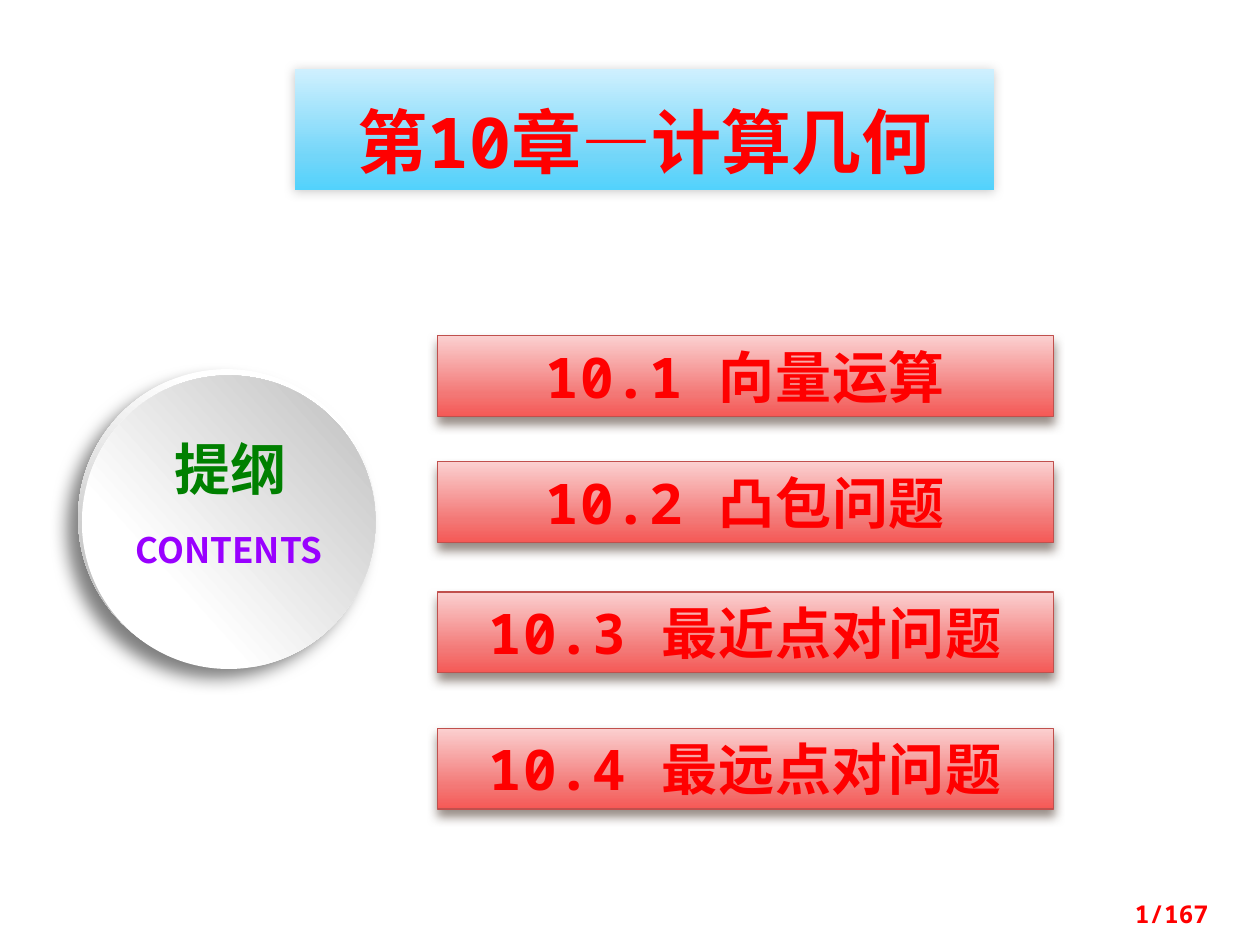
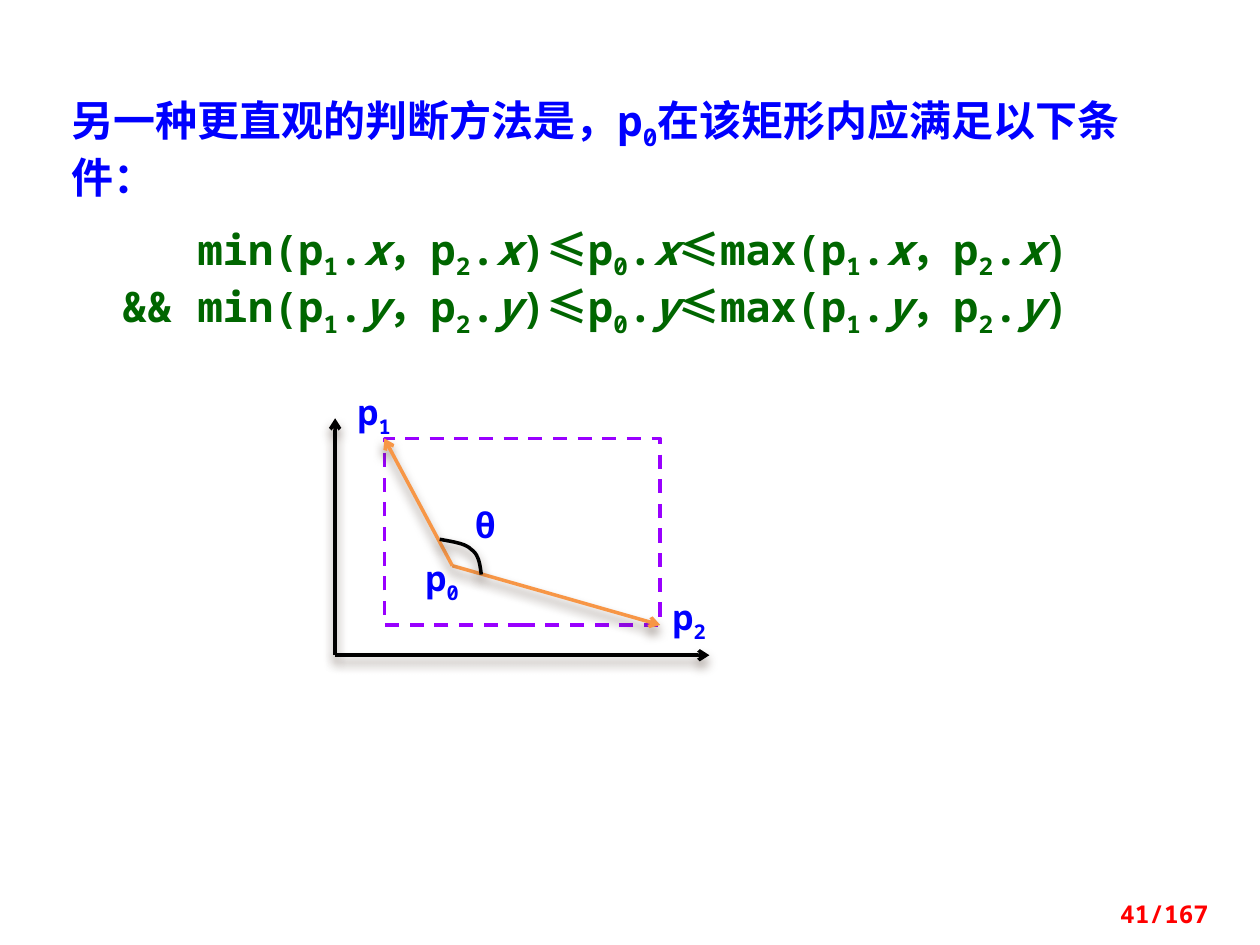
from lxml.etree import SubElement
from pptx import Presentation
from pptx.dml.color import RGBColor
from pptx.enum.dml import MSO_LINE
from pptx.enum.shapes import MSO_CONNECTOR, MSO_SHAPE
from pptx.enum.text import MSO_ANCHOR, MSO_AUTO_SIZE, PP_ALIGN
from pptx.oxml.ns import qn
from pptx.util import Inches, Pt

MONO, CJK = "Noto Sans Mono", "Noto Sans CJK SC"
RED = RGBColor(0xFF, 0x00, 0x00)
BLUE = RGBColor(0x00, 0x00, 0xFF)
GREEN = RGBColor(0x00, 0x80, 0x00)
DARK_GREEN = RGBColor(0x00, 0x66, 0x00)
PURPLE = RGBColor(0x99, 0x00, 0xFF)
ORANGE = RGBColor(0xF7, 0x96, 0x46)
BRICK = RGBColor(0xC0, 0x50, 0x4D)
BLACK = RGBColor(0x00, 0x00, 0x00)
WHITE = RGBColor(0xFF, 0xFF, 0xFF)
BROWN = RGBColor(0x4E, 0x3B, 0x30)

# Gradients: (position %, colour) stops
SKY = [(0, RGBColor(0xCF, 0xF0, 0xFE)), (72, RGBColor(0x73, 0xD6, 0xF9)),
       (100, RGBColor(0x52, 0xD2, 0xFC))]
ROSE = [(0, RGBColor(0xFB, 0xD0, 0xD0)), (72, RGBColor(0xF3, 0x78, 0x76)),
        (100, RGBColor(0xF5, 0x59, 0x56))]
RIM = [(17, WHITE), (88, RGBColor(0xB8, 0xB8, 0xB8))]
DISC = [(29, WHITE), (98, RGBColor(0xBF, 0xBF, 0xBF))]

# Shadows: colour, opacity %, blur pt, distance pt, direction in degrees
TITLE_SHADOW = (BLACK, 20, 6, 1, 135)
DROP_SHADOW = (BROWN, 60, 6, 4, 90)
RIM_SHADOW = (BLACK, 50, 10, 9, 135)

COLS, ROWS = 100, 75
PAGES = 167
TITLE_ONLY, BLANK = 5, 6


def add_colour(parent, colour):
    return SubElement(parent, qn("a:srgbClr"), val=str(colour))


class Deck:
    """Style and current slide; places are (column, row, columns, rows)."""

    def __init__(self):
        self.prs = Presentation()
        self.prs.slide_width, self.prs.slide_height = Inches(10), Inches(7.5)

    def grid(self, *cells):
        """Turn alternating column and row counts into lengths."""
        units = self.prs.slide_width / COLS, self.prs.slide_height / ROWS
        return [round(n * units[i % 2]) for i, n in enumerate(cells)]

    def slide(self, layout, page):
        self.s = self.prs.slides.add_slide(self.prs.slide_layouts[layout])
        self.shapes = self.s.shapes
        self.text((85.2, 70.85, 11.7, 2.6), f"{page}/{PAGES}", 14, RED,
                  align=PP_ALIGN.RIGHT)

    def start_group(self):
        self.shapes = self.s.shapes.add_group_shape().shapes

    def run(self, p, text, size, colour, font=MONO, kind="", spacing=0):
        """Add a run; kind is "", "sub", "italic" or "wide"."""
        r = p.add_run()
        r.text = text
        r.font.size, r.font.bold = Pt(size), True
        r.font.color.rgb = colour
        r.font.name = CJK if kind == "wide" else font
        rPr = r._r.get_or_add_rPr()
        SubElement(rPr, qn("a:ea"), typeface=CJK)
        if kind == "italic":
            r.font.italic = True
        if kind == "sub":
            rPr.set("baseline", "-25000")
        if spacing:
            rPr.set("spc", str(round(spacing * 100)))

    def gradient(self, sp, stops, angle):
        sp.fill.background()
        spPr = sp._element.spPr
        no_fill = spPr.find(qn("a:noFill"))
        grad = SubElement(spPr, qn("a:gradFill"), rotWithShape="1")
        spPr.replace(no_fill, grad)
        gs_list = SubElement(grad, qn("a:gsLst"))
        for pos, colour in stops:
            add_colour(SubElement(gs_list, qn("a:gs"), pos=str(pos * 1000)), colour)
        SubElement(grad, qn("a:lin"), ang=str(angle * 60000), scaled="0")

    def shadow(self, sp, style=None):
        """Replace the theme shadow by the given one, or by none."""
        effects = SubElement(sp._element.spPr, qn("a:effectLst"))
        if style:
            colour, opacity, blur, dist, angle = style
            outer = SubElement(effects, qn("a:outerShdw"), blurRad=str(Pt(blur)),
                               dist=str(Pt(dist)), dir=str(angle * 60000),
                               algn="ctr", rotWithShape="0")
            SubElement(add_colour(outer, colour), qn("a:alpha"),
                       val=str(opacity * 1000))

    def stroke(self, sp, colour, width=2.0):
        sp.line.color.rgb, sp.line.width = colour, Pt(width)

    def title(self, at, text):
        sp = self.s.shapes.title
        sp.left, sp.top, sp.width, sp.height = self.grid(*at)
        self.gradient(sp, SKY, 90)
        self.shadow(sp, TITLE_SHADOW)
        tf = sp.text_frame
        tf.auto_size, tf.word_wrap = MSO_AUTO_SIZE.NONE, True
        tf.vertical_anchor = MSO_ANCHOR.MIDDLE
        tf.margin_top = Inches(0.22)
        p = tf.paragraphs[0]
        p.alignment = PP_ALIGN.CENTER
        self.run(p, text, 40, RED)

    def topic(self, at, text):
        sp = self.shapes.add_shape(MSO_SHAPE.RECTANGLE, *self.grid(*at))
        self.gradient(sp, ROSE, 90)
        self.stroke(sp, BRICK, 0.79)
        self.shadow(sp, DROP_SHADOW)
        p = sp.text_frame.paragraphs[0]
        p.alignment = PP_ALIGN.CENTER
        self.run(p, text, 32, RED, spacing=0.5)

    def disc(self, at, stops, angle, shadow=None):
        sp = self.shapes.add_shape(MSO_SHAPE.OVAL, *self.grid(*at))
        self.gradient(sp, stops, angle)
        sp.line.fill.background()
        self.shadow(sp, shadow)

    def text(self, at, text, size, colour, font=MONO, align=PP_ALIGN.LEFT, sub=""):
        tf = self.shapes.add_textbox(*self.grid(*at)).text_frame
        tf.word_wrap = False
        p = tf.paragraphs[0]
        p.alignment = align
        self.run(p, text, size, colour, font)
        if sub:
            self.run(p, sub, size, colour, font, "sub")

    def passage(self, at, paragraphs, size):
        """Each paragraph is (colour, indent in columns, space before, runs)."""
        tf = self.shapes.add_textbox(*self.grid(*at)).text_frame
        tf.word_wrap = True
        tf.margin_right = Inches(0.4)
        for i, (colour, indent, before, runs) in enumerate(paragraphs):
            p = tf.add_paragraph() if i else tf.paragraphs[0]
            if before:
                p.space_before = Pt(before)
            pPr = p._p.get_or_add_pPr()
            pPr.set("marL", str(self.grid(indent)[0]))
            pPr.set("hangingPunct", "0")
            for text, kind in runs:
                self.run(p, text, size, colour, kind=kind)

    def arrow(self, start, end, colour):
        sp = self.shapes.add_connector(MSO_CONNECTOR.STRAIGHT,
                                       *self.grid(*start, *end))
        self.stroke(sp, colour)
        SubElement(sp.line._get_or_add_ln(), qn("a:tailEnd"), type="arrow")
        self.shadow(sp, DROP_SHADOW)

    def dashed_box(self, at, colour):
        sp = self.shapes.add_shape(MSO_SHAPE.RECTANGLE, *self.grid(*at))
        sp.fill.background()
        self.stroke(sp, colour)
        sp.line.dash_style = MSO_LINE.DASH
        self.shadow(sp)

    def curve(self, start, beziers, colour, steps=10):
        """Draw cubic curves, each (control, control, end), as short segments."""
        points, a = [], start
        for b, c, d in beziers:
            for t in (n / steps for n in range(1, steps + 1)):
                u = 1 - t
                weights = u ** 3, 3 * u * u * t, 3 * u * t * t, t ** 3
                points.append(self.grid(*(sum(w * v for w, v in zip(weights, axis))
                                          for axis in zip(a, b, c, d))))
            a = d
        builder = self.shapes.build_freeform(*self.grid(*start))
        builder.add_line_segments(points, close=False)
        sp = builder.convert_to_shape()
        sp.fill.background()
        self.stroke(sp, colour)
        self.shadow(sp, DROP_SHADOW)


def coordinate(n, axis, before="", after=""):
    """Runs for one coordinate of point n, such as p1.x."""
    runs = [(before + "p", ""), (str(n), "sub"), (".", ""), (axis, "italic")]
    return runs + [(after, "")] if after else runs


def range_test(axis, lead=""):
    at_most = [("≤", "wide")]
    return (coordinate(1, axis, lead + "min(") + coordinate(2, axis, "，", ")")
            + at_most + coordinate(0, axis) + at_most
            + coordinate(1, axis, "max(") + coordinate(2, axis, "，", ")"))


def contents_slide(deck):
    deck.slide(TITLE_ONLY, 1)
    deck.title((23.4, 5.5, 55.5, 9.6), "第10章—计算几何")
    topics = {26.65: "10.1 向量运算", 36.65: "10.2 凸包问题",
              47: "10.3 最近点对问题", 57.8: "10.4 最远点对问题"}
    for row, topic in topics.items():
        deck.topic((34.7, row, 48.9, 6.4), topic)
    deck.start_group()
    deck.disc((6.2, 29.3, 23.6, 23.6), RIM, 107, RIM_SHADOW)
    deck.disc((6.5, 29.8, 23.3, 23.3), DISC, 318)
    deck.shapes = deck.s.shapes
    deck.text((9, 41.45, 18.4, 4.4), "CONTENTS", 20, PURPLE, CJK, PP_ALIGN.CENTER)
    deck.text((10.6, 34, 15.4, 6.4), "提纲", 32, GREEN, CJK, PP_ALIGN.CENTER)


def rectangle_slide(deck):
    deck.slide(BLANK, 41)
    intro = [("另一种更直观的判断方法是，p", ""), ("0", "sub"),
             ("在该矩形内应满足以下条件：", "")]
    deck.passage((4.7, 7, 92.2, 14.8),
                 [(BLUE, 0, 0, intro),
                  (DARK_GREEN, 10, 12, range_test("x")),
                  (DARK_GREEN, 4, 0, range_test("y", "&& "))], 24)

    deck.start_group()
    origin, p0 = (26.6, 52), (35.9, 44.9)
    left, top, width, height = box = (30.5, 34.8, 21.9, 14.8)
    for tip in (26.6, 33.2), (56.3, 52):
        deck.arrow(origin, tip, BLACK)
    deck.dashed_box(box, PURPLE)
    for corner in (left + width, top + height), (left, top):
        deck.arrow(p0, corner, ORANGE)
    for n, place in enumerate([(32.8, 43.7), (27.4, 30.5), (52.4, 46.8)]):
        deck.text((*place, 4.7, 4.4), "p", 20, BLUE, sub=str(n))
    deck.curve((34.9, 42.8), [((35.9, 43), (36.9, 43.1), (37.4, 43.6)),
                              ((38, 44), (38.1, 44.8), (38.2, 45.6))], BLACK)
    deck.text((36.7, 39.5, 3.1, 4.4), "θ", 20, BLUE)


def main():
    deck = Deck()
    contents_slide(deck)
    rectangle_slide(deck)
    deck.prs.save("out.pptx")


if __name__ == "__main__":
    main()
